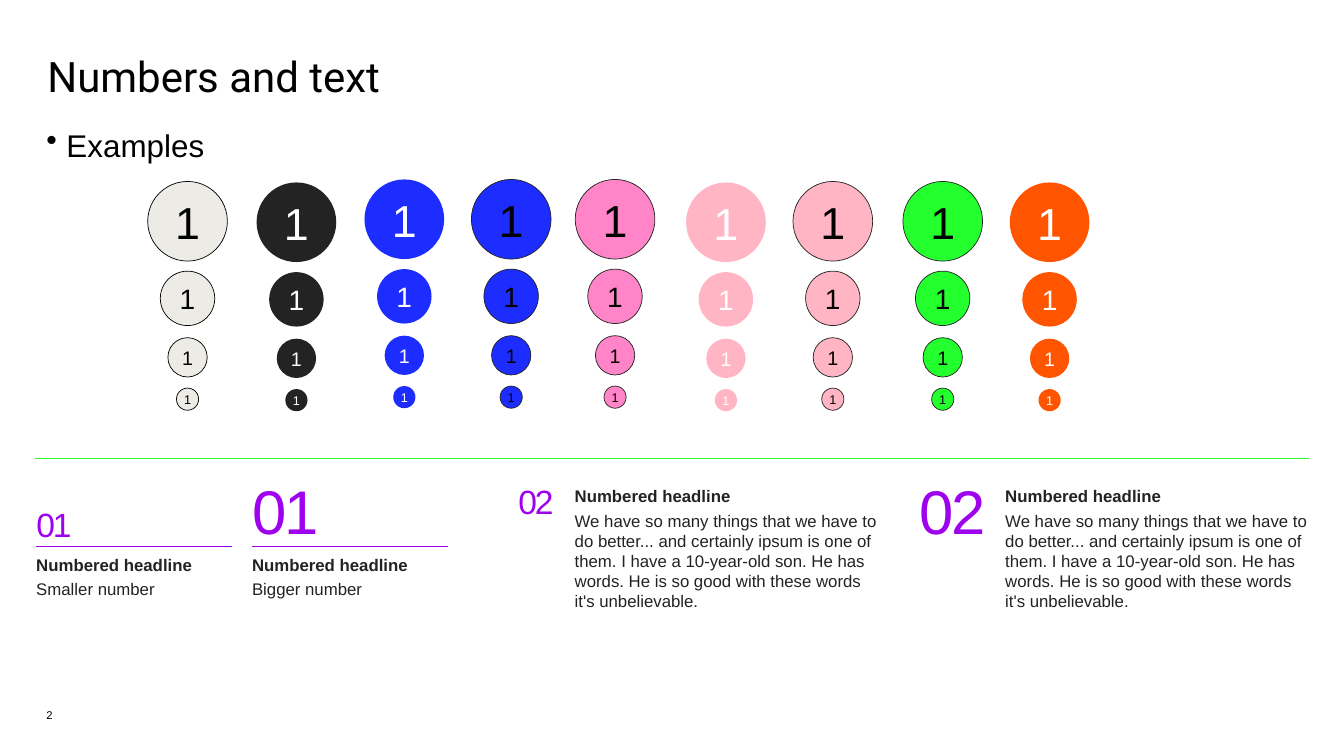
import pptx
import pptx.dml.color
import pptx.enum.shapes
import pptx.enum.text
import pptx.oxml.ns
import pptx.util
import lxml.etree

Inches = pptx.util.Inches
Pt = pptx.util.Pt
ALIGN = pptx.enum.text.PP_ALIGN
ANCHOR = pptx.enum.text.MSO_ANCHOR
AUTOSIZE = pptx.enum.text.MSO_AUTO_SIZE

COLORS = {
    "black": "000000", "white": "FFFFFF", "ink": "232323", "sand": "EDEBE5",
    "blue": "1D2DFF", "pink": "FF84C8", "rose": "FFB5C4", "green": "24FF2E",
    "orange": "FF5400", "purple": "9E01ED",
}
STORY = ("We have so many things that we have to do better... and certainly "
         "ipsum is one of them. I have a 10-year-old son. He has words. "
         "He is so good with these words it's unbelievable.")

CIRCLE_SIZES = [
    (0.79, 0, 32, -1.5),
    (0.54, 0.89, 20, -1.5),
    (0.39, 1.55, 14, 0),
    (0.22, 2.05, 9, 0),
]
CIRCLE_COLUMNS = [
    (1.86, 1.8, "sand", "black", "black"),
    (2.94, 1.81, "ink", None, "white"),
    (4.01, 1.78, "blue", None, "white"),
    (5.07, 1.78, "blue", "ink", "black"),
    (6.1, 1.78, "pink", "ink", "black"),
    (7.2, 1.81, "rose", None, "white"),
    (8.26, 1.8, "rose", "ink", "black"),
    (9.35, 1.8, "green", "ink", "black"),
    (10.41, 1.81, "orange", None, "white"),
]
STACKED_BLOCKS = [
    (0.36, 5, 0.4, 24, "Smaller number"),
    (2.5, 4.69, 0.74, 44, "Bigger number"),
]
SIDE_BLOCKS = [
    (5.7, 4.7, 4.77, 0.79, 0.4, 24),
    (9.97, 8.93, 4.69, 0.85, 0.74, 44),
]


def assign(target, values):
    for name, value in values.items():
        setattr(target, name, value)


class Deck:
    font = "Arial"
    line_width = 0.5

    def __init__(self, prs):
        self.slide = prs.slides.add_slide(prs.slide_layouts[6])

    def rgb(self, name):
        return pptx.dml.color.RGBColor.from_string(COLORS[name])

    def fill_paragraph(self, p, text, size, color, bold=False, spacing=0, font=None, **layout):
        assign(p, layout)
        r = p.add_run()
        r.text = text
        assign(r.font, {"name": font or self.font, "size": Pt(size), "bold": bold})
        r.font.color.rgb = self.rgb(color)
        if spacing:
            r._r.get_or_add_rPr().set("spc", str(round(spacing * 100)))

    def frame(self, sp, margin=0, **values):
        tf = sp.text_frame
        assign(tf, {"margin_left": 0, "margin_right": 0, "margin_top": Inches(margin),
                    "margin_bottom": Inches(margin), "word_wrap": True, **values})
        return tf

    def text(self, box, text, size, color, parent=None, grow=False, **fmt):
        sp = (parent or self.slide).shapes.add_textbox(*map(Inches, box))
        fit = AUTOSIZE.SHAPE_TO_FIT_TEXT if grow else AUTOSIZE.NONE
        tf = self.frame(sp, auto_size=fit)
        self.fill_paragraph(tf.paragraphs[0], text, size, color, **fmt)
        return tf

    def bullet(self, box, text, size, color, **fmt):
        tf = self.text(box, text, size, color, **fmt)
        pPr = tf.paragraphs[0]._p.get_or_add_pPr()
        pPr.set("marL", str(Inches(0.2)))
        pPr.set("indent", str(Inches(-0.2)))
        bu = lxml.etree.SubElement(pPr, pptx.oxml.ns.qn("a:buChar"))
        bu.set("char", "•")

    def article(self, box, body, parent=None):
        tf = self.text(box, "Numbered headline", 12, "ink", parent, True, bold=True)
        self.fill_paragraph(tf.add_paragraph(), body, 12, "ink", space_before=Pt(3))

    def number(self, box, text, size, parent=None, **fmt):
        self.text(box, text, size, "purple", parent, True, spacing=-1.5, **fmt)

    def circle(self, center, top, size, fill, line, color, font_size, spacing):
        sp = self.slide.shapes.add_shape(
            pptx.enum.shapes.MSO_SHAPE.OVAL, Inches(center - size / 2),
            Inches(top), Inches(size), Inches(size))
        sp.shadow.inherit = False
        sp.fill.solid()
        sp.fill.fore_color.rgb = self.rgb(fill)
        if line:
            sp.line.color.rgb = self.rgb(line)
            sp.line.width = Pt(self.line_width)
        else:
            sp.line.fill.background()
        tf = self.frame(sp, 0.05, vertical_anchor=ANCHOR.MIDDLE, word_wrap=bool(spacing))
        self.fill_paragraph(tf.paragraphs[0], "1", font_size, color,
                            spacing=spacing, alignment=ALIGN.CENTER)

    def rule(self, x1, x2, y, color):
        sp = self.slide.shapes.add_connector(
            pptx.enum.shapes.MSO_CONNECTOR.STRAIGHT, *map(Inches, (x1, y, x2, y)))
        sp.line.color.rgb = self.rgb(color)
        sp.line.width = Pt(self.line_width)
        lxml.etree.SubElement(sp._element.spPr, pptx.oxml.ns.qn("a:effectLst"))


def main():
    prs = pptx.Presentation()
    assign(prs, {"slide_width": Inches(13.33), "slide_height": Inches(7.5)})
    s = Deck(prs)

    s.text((0.47, 0.56, 12.4, 0.48), "Numbers and text", 30, "black",
           font="Roboto", line_spacing=0.9)
    s.text((0.46, 7.03, 0.71, 0.2), "2", 8, "black")
    s.bullet((0.46, 1.32, 8.76, 0.48), "Examples", 22.4, "black",
             line_spacing=0.8, space_after=Pt(10))

    for center, top, fill, line, color in CIRCLE_COLUMNS:
        for size, offset, font_size, spacing in CIRCLE_SIZES:
            s.circle(center, top + offset, size, fill, line, color, font_size, spacing)

    for left, top, height, size, body in STACKED_BLOCKS:
        s.article((left, 5.5, 1.94, 0.45), body)
        s.number((left, top, 0.79, height), "01", size)
        s.rule(left, left + 1.94, 5.42, "purple")

    for left, number_left, top, width, height, size in SIDE_BLOCKS:
        group = s.slide.shapes.add_group_shape()
        s.article((left, 4.82, 3.01, 1.25), STORY, group)
        s.number((number_left, top, width, height), "02", size, group,
                 alignment=ALIGN.RIGHT)

    s.rule(0.35, 12.98, 4.55, "green")
    prs.save("out.pptx")


if __name__ == "__main__":
    main()
